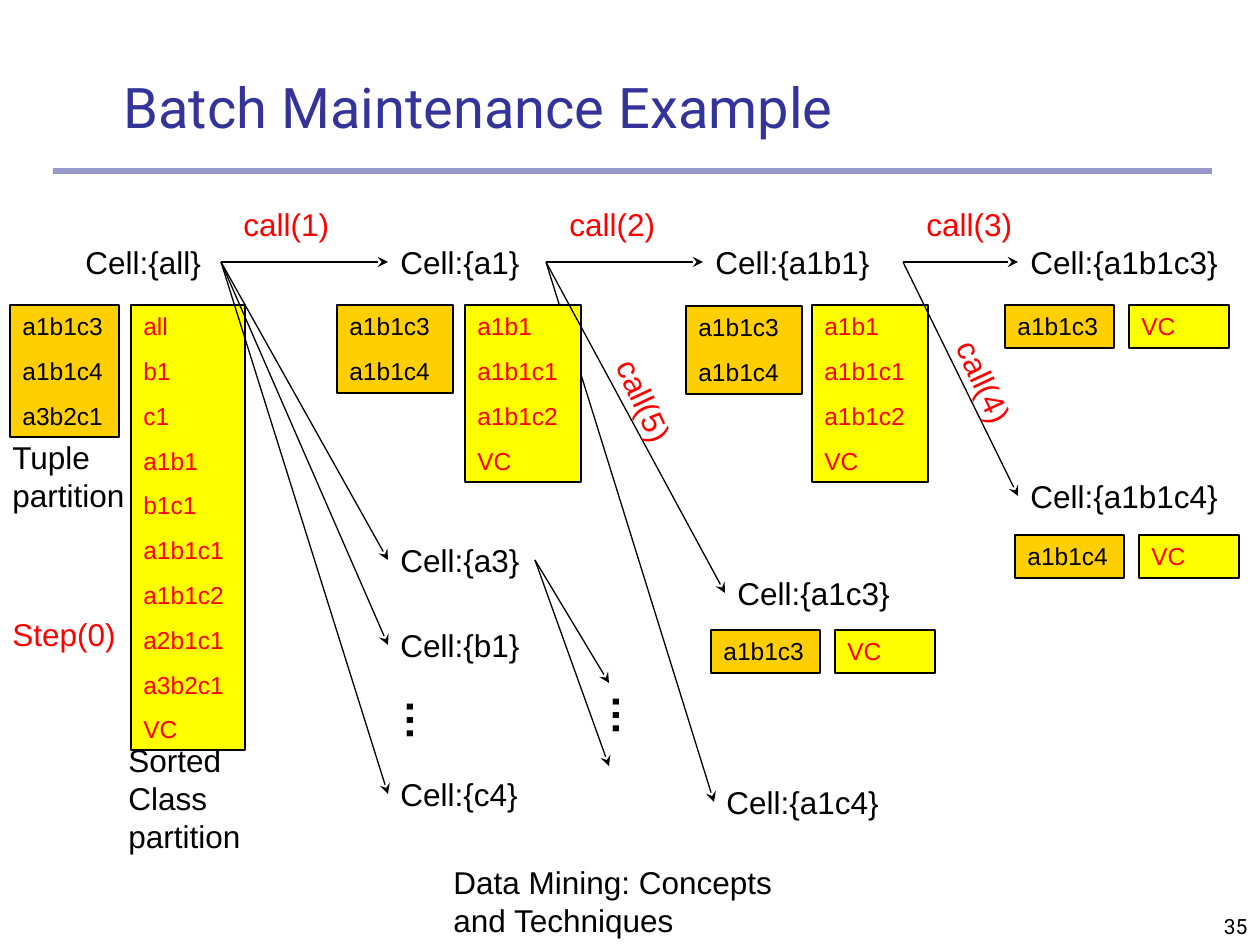
from dataclasses import dataclass

from lxml.etree import SubElement
from pptx import Presentation
from pptx.dml.color import RGBColor
from pptx.enum.shapes import MSO_CONNECTOR, MSO_SHAPE
from pptx.enum.text import MSO_ANCHOR as Anchor, MSO_AUTO_SIZE as AutoSize, PP_ALIGN as Align
from pptx.oxml.ns import qn
from pptx.shapes.autoshape import Shape
from pptx.shapes.shapetree import SlideShapes
from pptx.util import Emu, Pt

PX_PER_INCH = 126
BLACK = RGBColor(0x00, 0x00, 0x00)
RED = RGBColor(0xFF, 0x00, 0x00)
INDIGO = RGBColor(0x33, 0x33, 0x99)
AMBER = RGBColor(0xFF, 0xCF, 0x01)
YELLOW = RGBColor(0xFF, 0xFF, 0x00)

LINE_HEIGHT = 50
CELL_TOP = 237
LIST_TOP = 305
CALL_TOP = 199
LEFT, RIGHT = 1, 3


@dataclass(frozen=True)
class Label:
    text: str
    left: int
    top: int
    width: int
    height: int = LINE_HEIGHT
    color: RGBColor = BLACK
    size: int = 18
    bold: bool = False
    rotation: int = 0
    font: str = "Arial"
    align: Align = Align.LEFT
    anchor: Anchor = Anchor.TOP


@dataclass(frozen=True)
class Partition:
    """A boxed list: tuples on amber, or classes in red on yellow."""
    rows: str
    left: int
    width: int
    top: int = LIST_TOP
    classes: bool = False


TITLE = Label("Batch Maintenance Example", 78, 74, 801, 72, INDIGO, 32,
              font="Roboto", align=Align.CENTER, anchor=Anchor.BOTTOM)

CELLS = {
    "all": (73, CELL_TOP, 148),
    "a1": (388, CELL_TOP, 158),
    "a1b1": (703, CELL_TOP, 200),
    "a1b1c3": (1018, CELL_TOP, 221),
    "a1b1c4": (1018, 471, 221),
    "a3": (388, 535, 147),
    "b1": (388, 620, 158),
    "c4": (388, 769, 158),
    "a1c3": (725, 568, 200),
    "a1c4": (714, 777, 200),
}

CALLS_BEHIND_LISTS = [("a1", "a1c4")]
CALLS_OVER_LISTS = [
    ("all", "a1"), ("all", "a3"), ("all", "b1"), ("all", "c4"),
    ("a1", "a1b1"), ("a1", "a1c3"),
    ("a1b1", "a1b1c3"), ("a1b1", "a1b1c4"),
]
OPEN_CALL_ENDS = [(609, 683), (609, 766)]

PARTITIONS = [
    Partition("a1b1c3 a1b1c4 a3b2c1", 10, 109),
    Partition("all b1 c1 a1b1 b1c1 a1b1c1 a1b1c2 a2b1c1 a3b2c1 VC", 131, 114, classes=True),
    Partition("a1b1c3 a1b1c4", 337, 116),
    Partition("a1b1 a1b1c1 a1b1c2 VC", 465, 116, classes=True),
    Partition("a1b1c3 a1b1c4", 686, 116, 306),
    Partition("a1b1 a1b1c1 a1b1c2 VC", 812, 116, classes=True),
    Partition("a1b1c3", 1005, 109),
    Partition("VC", 1129, 100, classes=True),
    Partition("a1b1c4", 1015, 109, 535),
    Partition("VC", 1139, 100, 535, classes=True),
    Partition("a1b1c3", 711, 109, 630),
    Partition("VC", 835, 100, 630, classes=True),
]

LABELS = [
    Label("Step(0)", 0, 609, 136, color=RED),
    Label("Tuple partition", 0, 432, 142, 88),
    Label("Sorted Class partition", 116, 735, 144, 126),
    Label("call(1)", 231, CALL_TOP, 136, color=RED),
    Label("call(2)", 557, CALL_TOP, 136, color=RED),
    Label("call(3)", 914, CALL_TOP, 136, color=RED),
    Label("call(4)", 922, 368, 136, color=RED, rotation=65),
    Label("call(5)", 582, 387, 136, color=RED, rotation=65),
    Label("…", 392, 687, 63, 63, size=24, bold=True, rotation=90),
    Label("…", 598, 682, 63, 63, size=24, bold=True, rotation=90),
    Label("Data Mining: Concepts and Techniques", 441, 872, 400, 73, anchor=Anchor.BOTTOM),
    Label("35", 998, 882, 262, 63, size=12, font="Roboto",
          align=Align.RIGHT, anchor=Anchor.BOTTOM),
]


def px(length: int) -> Emu:
    return Emu(round(length * 914400 / PX_PER_INCH))


def write_label(box: Shape, label: Label) -> None:
    """Place a text box or placeholder and give it the label's text."""
    box.left, box.top = px(label.left), px(label.top)
    box.width, box.height = px(label.width), px(label.height)
    box.rotation = label.rotation
    frame = box.text_frame
    frame.text = label.text
    frame.word_wrap = True
    frame.auto_size = AutoSize.NONE
    frame.vertical_anchor = label.anchor
    paragraph = frame.paragraphs[0]
    paragraph.alignment = label.align
    font = paragraph.runs[0].font
    font.name, font.size, font.bold = label.font, Pt(label.size), label.bold
    font.color.rgb = label.color


def add_label(shapes: SlideShapes, label: Label) -> Shape:
    box = shapes.add_textbox(0, 0, 0, 0)
    write_label(box, label)
    return box


def add_partition(shapes: SlideShapes, partition: Partition) -> None:
    rows = partition.rows.split()
    height = 43 + round(44.7 * (len(rows) - 1))
    box = shapes.add_shape(MSO_SHAPE.RECTANGLE, px(partition.left), px(partition.top),
                           px(partition.width), px(height))
    box.shadow.inherit = False
    box.fill.solid()
    box.fill.fore_color.rgb = YELLOW if partition.classes else AMBER
    box.line.color.rgb = BLACK
    box.line.width = Pt(0.75)
    frame = box.text_frame
    frame.text = "\n".join(rows)
    frame.vertical_anchor = Anchor.TOP
    for index, paragraph in enumerate(frame.paragraphs):
        paragraph.alignment = Align.LEFT
        paragraph.space_before = Pt(8.8 if index else 0)
        font = paragraph.runs[0].font
        font.name, font.size = "Arial", Pt(14)
        font.color.rgb = RED if partition.classes else BLACK


def add_call(shapes: SlideShapes, caller: Shape, callee: Shape | None = None,
             end: tuple[int, int] = (0, 0)) -> None:
    """Draw an arrow from the caller's right side to the callee, or to a free end."""
    arrow = shapes.add_connector(MSO_CONNECTOR.STRAIGHT, 0, 0, px(end[0]), px(end[1]))
    arrow.begin_connect(caller, RIGHT)
    if callee is not None:
        arrow.end_connect(callee, LEFT)
    arrow.line.color.rgb = BLACK
    arrow.line.width = Pt(0.75)
    SubElement(arrow.line._get_or_add_ln(), qn("a:tailEnd"), type="stealth")
    SubElement(arrow._element.spPr, qn("a:effectLst"))


def add_title_rule(shapes: SlideShapes) -> None:
    rule = shapes.add_shape(MSO_SHAPE.RECTANGLE, px(53), px(168), px(1159), px(6))
    rule.shadow.inherit = False
    rule.line.fill.background()
    rule.fill.solid()
    rule.fill.fore_color.rgb = INDIGO
    color = rule._element.spPr.find(qn("a:solidFill"))[0]
    SubElement(color, qn("a:alpha"), val="50000")


def main() -> None:
    deck = Presentation()
    deck.slide_width, deck.slide_height = px(1260), px(945)
    shapes = deck.slides.add_slide(deck.slide_layouts[5]).shapes
    write_label(shapes.title, TITLE)
    add_title_rule(shapes)

    cells = {name: add_label(shapes, Label(f"Cell:{{{name}}}", *place))
             for name, place in CELLS.items()}
    for caller, callee in CALLS_BEHIND_LISTS:
        add_call(shapes, cells[caller], cells[callee])
    for partition in PARTITIONS:
        add_partition(shapes, partition)
    for caller, callee in CALLS_OVER_LISTS:
        add_call(shapes, cells[caller], cells[callee])
    for end in OPEN_CALL_ENDS:
        add_call(shapes, cells["a3"], end=end)
    for label in LABELS:
        add_label(shapes, label)
    deck.save("out.pptx")


if __name__ == "__main__":
    main()
